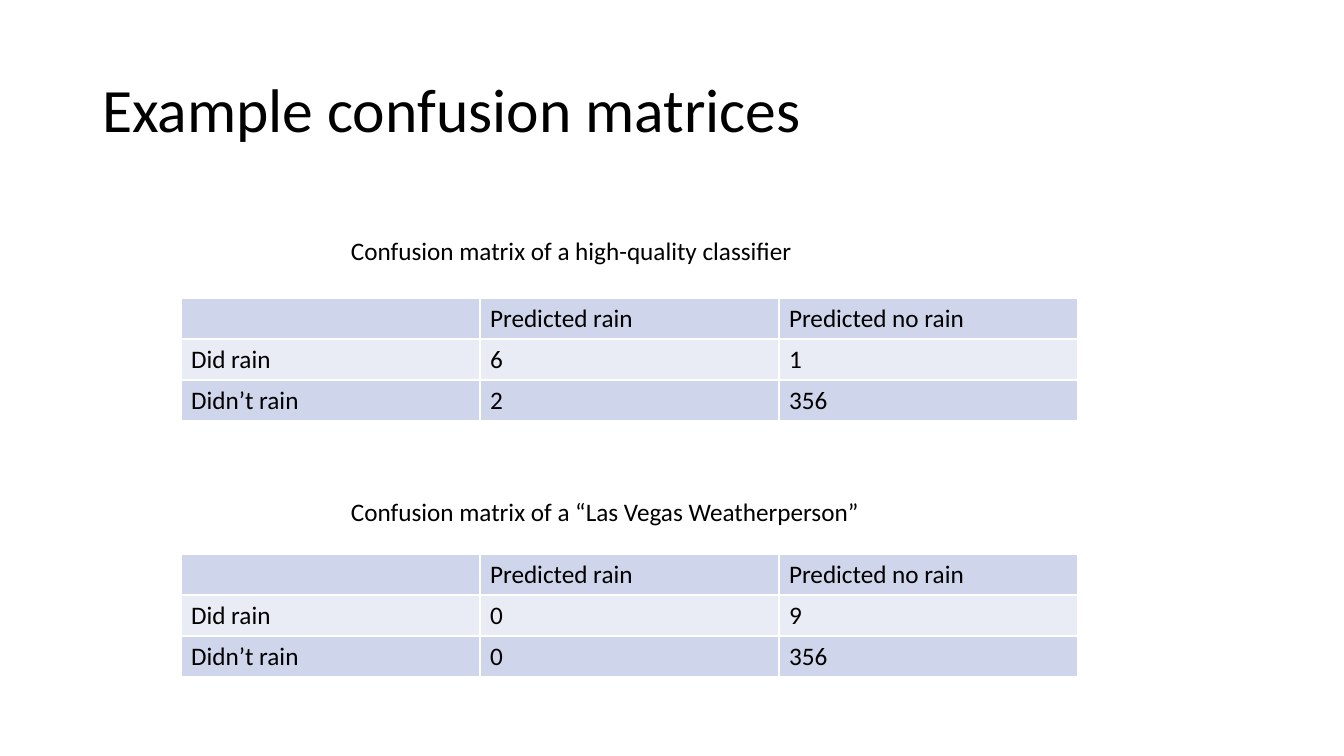
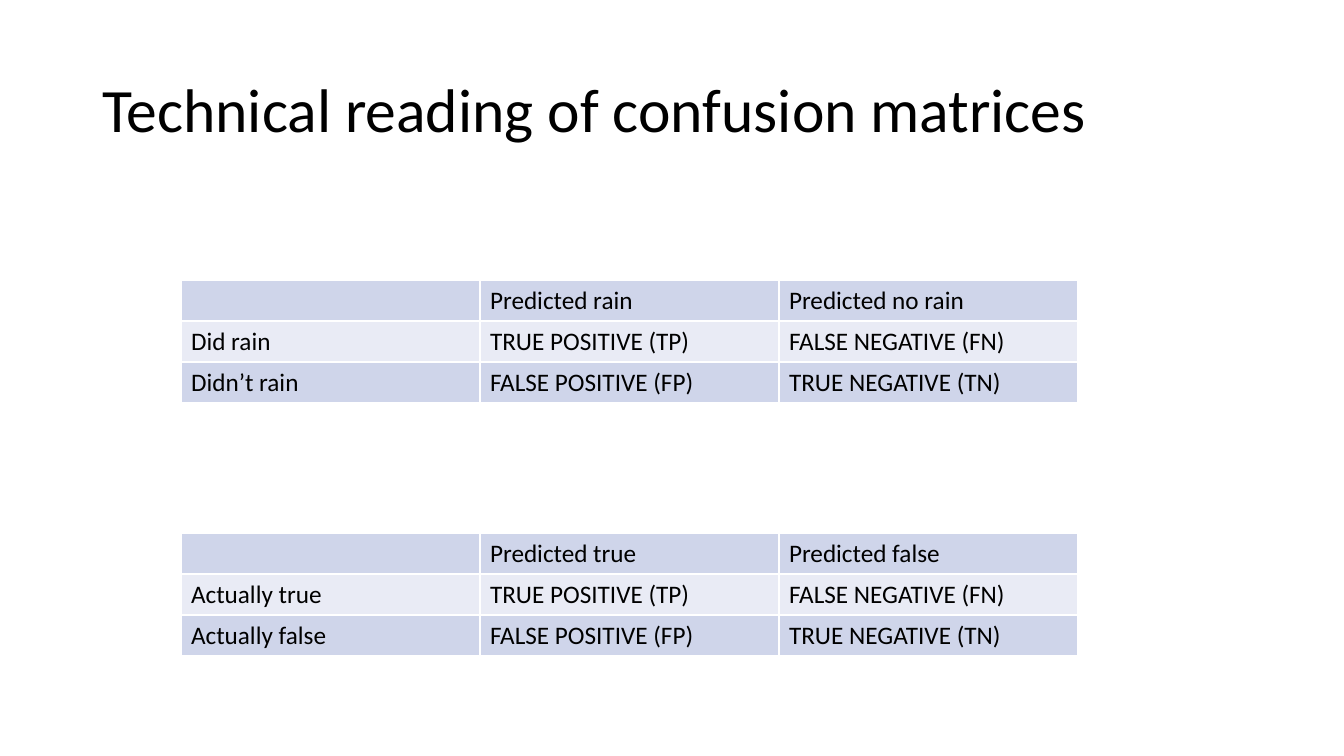
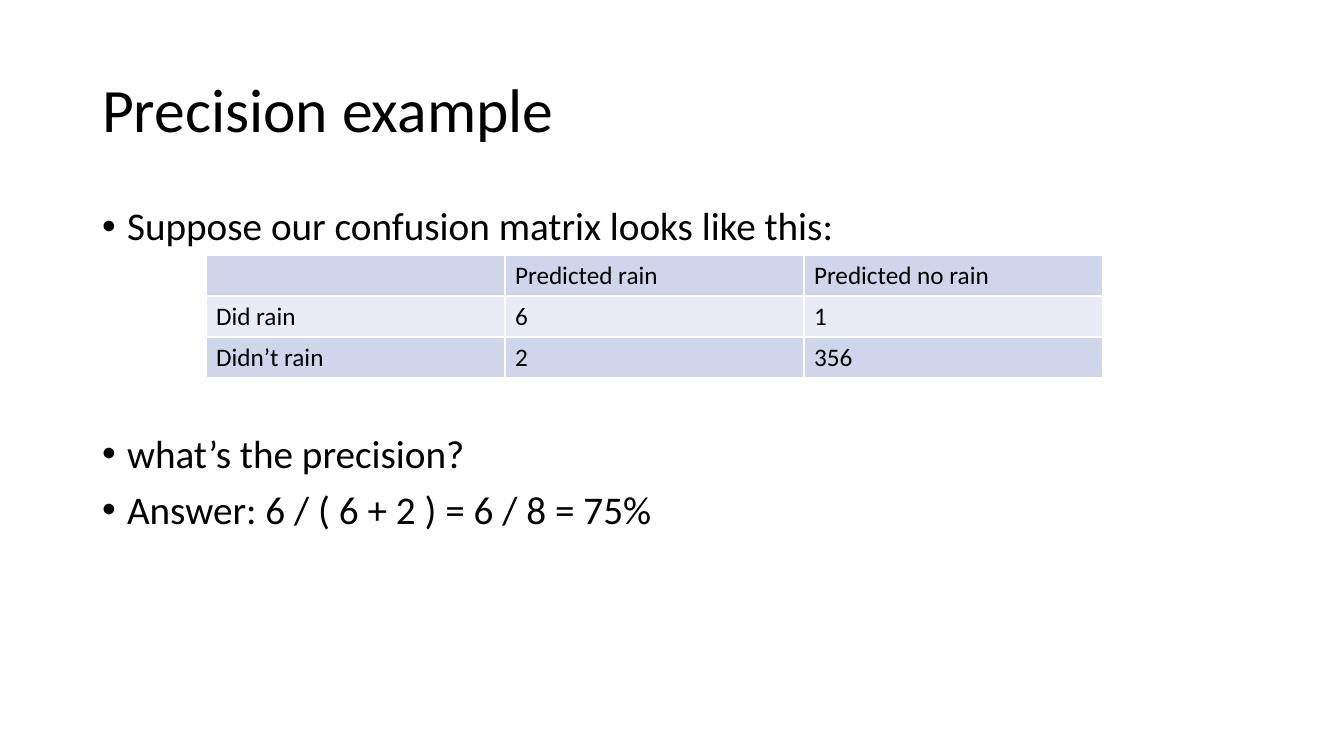
from dataclasses import dataclass

from lxml import etree
from pptx import Presentation
from pptx.dml.color import RGBColor
from pptx.enum.text import MSO_ANCHOR, MSO_AUTO_SIZE, PP_ALIGN
from pptx.oxml.ns import qn
from pptx.util import Pt

MID = MSO_ANCHOR.MIDDLE
TOP = MSO_ANCHOR.TOP
FIXED = MSO_AUTO_SIZE.NONE
LEFT = PP_ALIGN.LEFT

HUES = {"ink": "000000", "line": "FFFFFF", "dark": "CFD5EA", "light": "E9EBF5"}
BANDS = ("dark", "light")
SIDES = ("a:lnL", "a:lnR", "a:lnT", "a:lnB")
FACE = "Calibri"
SCALE = 914400 / 100.8
COL, ROW = 299, 41
INDENT = 25
TITLE_ONLY, TITLE_BODY = 5, 1

RAIN = ("Predicted rain", "Predicted no rain")
TRUTH = ("Predicted true", "Predicted false")
DAYS = ("Did rain", "Didn’t rain")
FACTS = ("Actually true", "Actually false")
GOOD = (("6", "1"), ("2", "356"))
VEGAS = (("0", "9"), ("0", "356"))
NAMES = (
    ("TRUE POSITIVE (TP)", "FALSE NEGATIVE (FN)"),
    ("FALSE POSITIVE (FP)", "TRUE NEGATIVE (TN)"),
)


@dataclass(frozen=True)
class Matrix:
    """A confusion matrix with its place in px."""
    top: int
    heads: tuple
    sides: tuple
    counts: tuple
    left: int = 181


@dataclass(frozen=True)
class Label:
    """A caption and its top in px."""
    top: int
    text: str


@dataclass(frozen=True)
class Point:
    """A list item and the space before it in points."""
    text: str
    space: int = 10


@dataclass(frozen=True)
class Page:
    """The content of one slide."""
    title: str
    grids: tuple
    labels: tuple = ()
    points: tuple = ()


PAGES = (
    Page(
        "Example confusion matrices",
        (Matrix(298, RAIN, DAYS, GOOD), Matrix(554, RAIN, DAYS, VEGAS)),
        labels=(
            Label(230, "Confusion matrix of a high-quality classifier"),
            Label(491, "Confusion matrix of a “Las Vegas Weatherperson”"),
        ),
    ),
    Page(
        "Technical reading of confusion matrices",
        (Matrix(280, RAIN, DAYS, NAMES), Matrix(533, TRUTH, FACTS, NAMES)),
    ),
    Page(
        "Precision example",
        (Matrix(255, RAIN, DAYS, GOOD, left=206),),
        points=(
            Point("Suppose our confusion matrix looks like this:"),
            Point("what’s the precision?", 132),
            Point("Answer: 6 / ( 6 + 2 ) = 6 / 8 = 75%"),
        ),
    ),
)


def px(count: int) -> int:
    """Turn px into EMU."""
    return round(count * SCALE)


def box(*sides: int) -> tuple:
    """Turn a px box into EMU."""
    return tuple(px(side) for side in sides)


def write(para, text: str, size: int) -> None:
    """Add one run of text to a paragraph."""
    para.alignment = LEFT
    run = para.add_run()
    run.text = text
    run.font.name = FACE
    run.font.size = Pt(size)
    run.font.color.rgb = RGBColor.from_string(HUES["ink"])


def set_up(shape, area: tuple, anchor):
    """Place a text holder and return its frame."""
    shape.left, shape.top, shape.width, shape.height = box(*area)
    frame = shape.text_frame
    frame.word_wrap = True
    frame.auto_size = FIXED
    frame.vertical_anchor = anchor
    return frame


def add_title(slide, text: str) -> None:
    """Fill the title."""
    frame = set_up(slide.shapes.title, (92, 40, 1159, 146), MID)
    para = frame.paragraphs[0]
    para.line_spacing = 0.9
    write(para, text, 44)


def add_points(slide, points: tuple) -> None:
    """Fill the body with a list."""
    frame = set_up(slide.placeholders[1], (92, 202, 1159, 480), TOP)
    for rank, point in enumerate(points):
        para = frame.add_paragraph() if rank else frame.paragraphs[0]
        para.line_spacing = 0.9
        para.space_before = Pt(point.space)
        props = para._p.get_or_add_pPr()
        props.set("marL", str(px(INDENT)))
        props.set("indent", str(-px(INDENT)))
        write(para, point.text, 28)


def add_label(slide, label: Label) -> None:
    """Add a caption."""
    area = (341, label.top, 547, 40)
    frame = set_up(slide.shapes.add_textbox(*box(*area)), area, TOP)
    write(frame.paragraphs[0], label.text, 18)


def edge(cell) -> None:
    """Give a cell its borders."""
    props = cell._tc.get_or_add_tcPr()
    for side in SIDES:
        line = etree.SubElement(props, qn(side), w=str(Pt(1)))
        fill = etree.SubElement(line, qn("a:solidFill"))
        etree.SubElement(fill, qn("a:srgbClr"), val=HUES["line"])


def add_grid(slide, grid: Matrix) -> None:
    """Add a confusion matrix as a table."""
    rows = [("", *grid.heads)]
    rows += [(side, *pair) for side, pair in zip(grid.sides, grid.counts)]
    wide, tall = len(rows[0]), len(rows)
    area = box(grid.left, grid.top, COL * wide, ROW * tall)
    table = slide.shapes.add_table(tall, wide, *area).table
    table.first_row = table.horz_banding = False
    for col in table.columns:
        col.width = px(COL)
    for rank, texts in enumerate(rows):
        table.rows[rank].height = px(ROW)
        hue = HUES[BANDS[rank % len(BANDS)]]
        for spot, text in enumerate(texts):
            cell = table.cell(rank, spot)
            edge(cell)
            cell.fill.solid()
            cell.fill.fore_color.rgb = RGBColor.from_string(hue)
            if text:
                write(cell.text_frame.paragraphs[0], text, 18)


def add_page(deck, page: Page) -> None:
    """Add one slide."""
    kind = TITLE_BODY if page.points else TITLE_ONLY
    slide = deck.slides.add_slide(deck.slide_layouts[kind])
    add_title(slide, page.title)
    if page.points:
        add_points(slide, page.points)
    for grid in page.grids:
        add_grid(slide, grid)
    for label in page.labels:
        add_label(slide, label)


def main() -> None:
    """Build and save the deck."""
    deck = Presentation()
    deck.slide_width, deck.slide_height = box(1344, 756)
    for page in PAGES:
        add_page(deck, page)
    deck.save("out.pptx")


if __name__ == "__main__":
    main()
